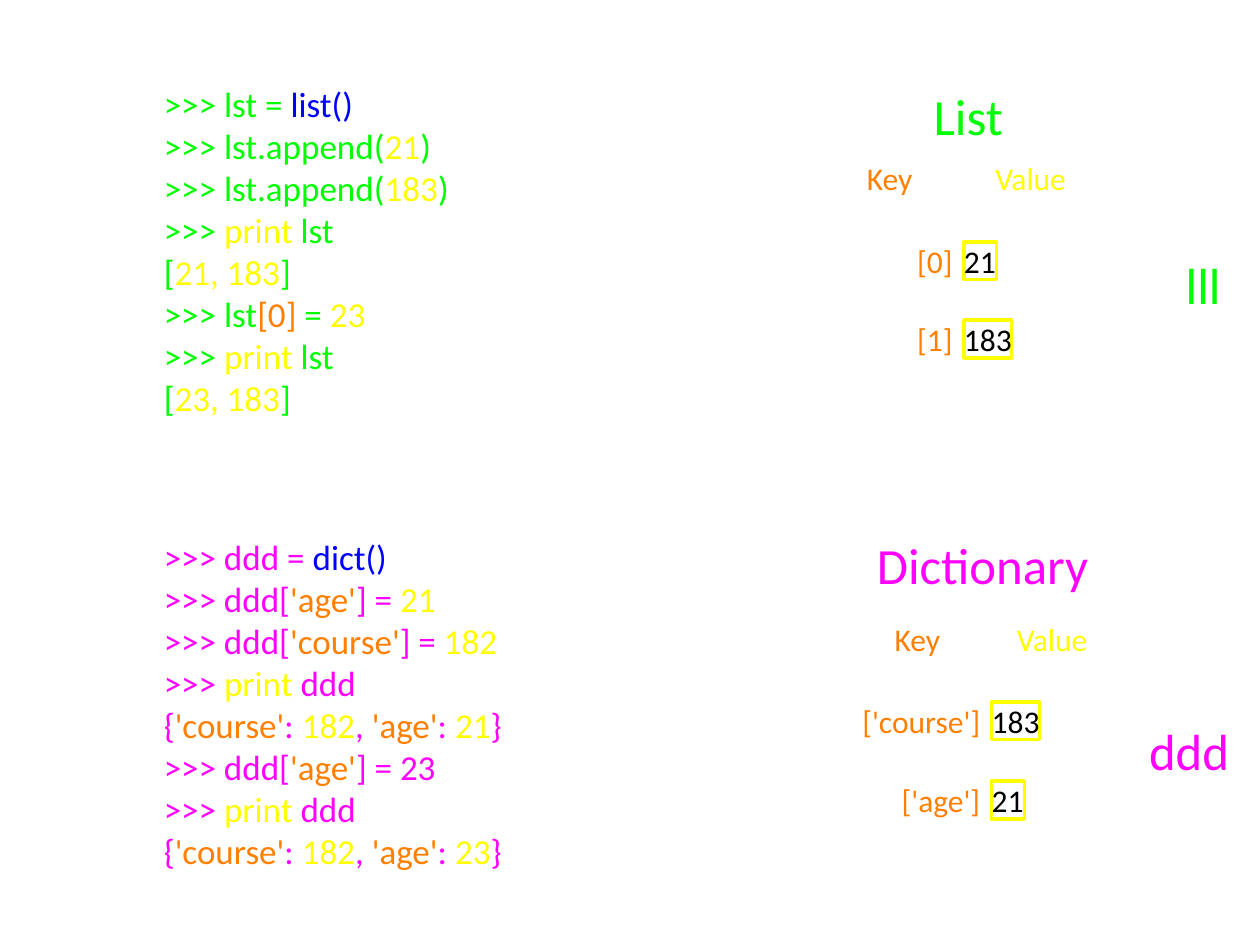
from pptx import Presentation
from pptx.dml.color import RGBColor
from pptx.enum.shapes import MSO_SHAPE
from pptx.enum.text import MSO_ANCHOR, MSO_AUTO_SIZE, PP_ALIGN
from pptx.util import Pt

EMU_PER_PX = 9144
KEY_GAP = 9
ROW_HEIGHT = 30
COLORS = {
    "list": "00FF00",
    "dict": "FF00FF",
    "call": "0000FF",
    "key": "FF7F00",
    "value": "FFFF00",
    "ink": "000000",
}
FRAME_FORMAT = {
    "margin_left": 0,
    "margin_top": 0,
    "margin_right": 0,
    "margin_bottom": 0,
    "word_wrap": False,
    "vertical_anchor": MSO_ANCHOR.MIDDLE,
    "auto_size": MSO_AUTO_SIZE.SHAPE_TO_FIT_TEXT,
}


def px(length):
    return length * EMU_PER_PX


def apply_format(target, values):
    for name, value in values.items():
        setattr(target, name, value)


class SlideBuilder:
    font = "Calibri"
    code_size = 20
    label_size = 18
    heading_size = 29

    def __init__(self, slide):
        self.slide = slide

    def fill_frame(self, frame, lines, size, color, align=PP_ALIGN.LEFT):
        apply_format(frame, FRAME_FORMAT)
        for index, line in enumerate(lines):
            paragraph = frame.add_paragraph() if index else frame.paragraphs[0]
            paragraph.alignment = align
            for piece in line:
                shade, wording = (color, piece) if isinstance(piece, str) else piece
                run = paragraph.add_run()
                run.text = wording
                apply_format(run.font, {"name": self.font, "size": Pt(size)})
                run.font.color.rgb = RGBColor.from_string(COLORS[shade])

    def text(self, area, lines, size, color, align=PP_ALIGN.LEFT):
        label = self.slide.shapes.add_textbox(*map(px, area))
        self.fill_frame(label.text_frame, lines, size, color, align)

    def code(self, area, lines, color):
        self.text(area, lines, self.code_size, color)

    def heading(self, area, wording, color):
        self.text(area, [[wording]], self.heading_size, color)

    def label(self, area, wording, color, align=PP_ALIGN.LEFT):
        self.text(area, [[wording]], self.label_size, color, align)

    def value_box(self, area, wording):
        cell = self.slide.shapes.add_shape(MSO_SHAPE.RECTANGLE, *map(px, area))
        cell.shadow.inherit = False
        cell.fill.background()
        cell.line.color.rgb = RGBColor.from_string(COLORS["value"])
        cell.line.width = Pt(2)
        self.fill_frame(cell.text_frame, [[wording]], self.label_size, "ink")

    def entry(self, value_left, top, key, key_width, value, value_width):
        key_left = value_left - KEY_GAP - key_width
        self.label((key_left, top, key_width, ROW_HEIGHT), key, "key", PP_ALIGN.RIGHT)
        self.value_box((value_left, top, value_width, ROW_HEIGHT), value)


def print_line(name):
    return [">>> ", ("value", "print"), f" {name}"]


def list_output(values):
    return ["[", ("value", values), "]"]


def append_line(value):
    return [">>> lst.append(", ("value", value), ")"]


def dict_output(age):
    return ["{", ("key", "'course'"), ": ", ("value", "182"), ", ",
            ("key", "'age'"), ": ", ("value", age), "}"]


def assign_line(key, value):
    return [">>> ddd[", ("key", key), "] = ", value]


SECTIONS = [
    {
        "color": "list",
        "code_area": (130, 64, 228, 269),
        "code": [
            [">>> lst =", ("call", " list()")],
            append_line("21"),
            append_line("183"),
            print_line("lst"),
            list_output("21, 183"),
            [">>> lst", ("key", "[0]"), " = ", ("value", "23")],
            print_line("lst"),
            list_output("23, 183"),
        ],
        "headings": [("List", (741, 67, 56, 49)), ("lll", (941, 201, 28, 49))],
        "header_top": 126,
        "key_left": 688,
        "value_left": 790,
        "box_left": 765,
        "entries": [(192, "[0]", 28, "21", 26), (254, "[1]", 28, "183", 38)],
    },
    {
        "color": "dict",
        "code_area": (130, 424, 270, 269),
        "code": [
            [">>> ddd = ", ("call", "dict()")],
            assign_line("'age'", ("value", "21")),
            assign_line("'course'", ("value", "182")),
            print_line("ddd"),
            dict_output("21"),
            assign_line("'age'", "23"),
            print_line("ddd"),
            dict_output("23"),
        ],
        "headings": [("Dictionary", (696, 423, 170, 49)), ("ddd", (912, 571, 64, 49))],
        "header_top": 492,
        "key_left": 710,
        "value_left": 807,
        "box_left": 787,
        "entries": [(557, "['course']", 95, "183", 38), (620, "['age']", 63, "21", 26)],
    },
]


def main():
    deck = Presentation()
    apply_format(deck, {"slide_width": px(1000), "slide_height": px(750)})
    builder = SlideBuilder(deck.slides.add_slide(deck.slide_layouts[6]))
    for section in SECTIONS:
        builder.code(section["code_area"], section["code"], section["color"])
        for wording, area in section["headings"]:
            builder.heading(area, wording, section["color"])
        top = section["header_top"]
        builder.label((section["key_left"], top, 37, ROW_HEIGHT), "Key", "key")
        builder.label((section["value_left"], top, 57, ROW_HEIGHT), "Value", "value")
        for entry in section["entries"]:
            builder.entry(section["box_left"], *entry)
    deck.save("out.pptx")


if __name__ == "__main__":
    main()
